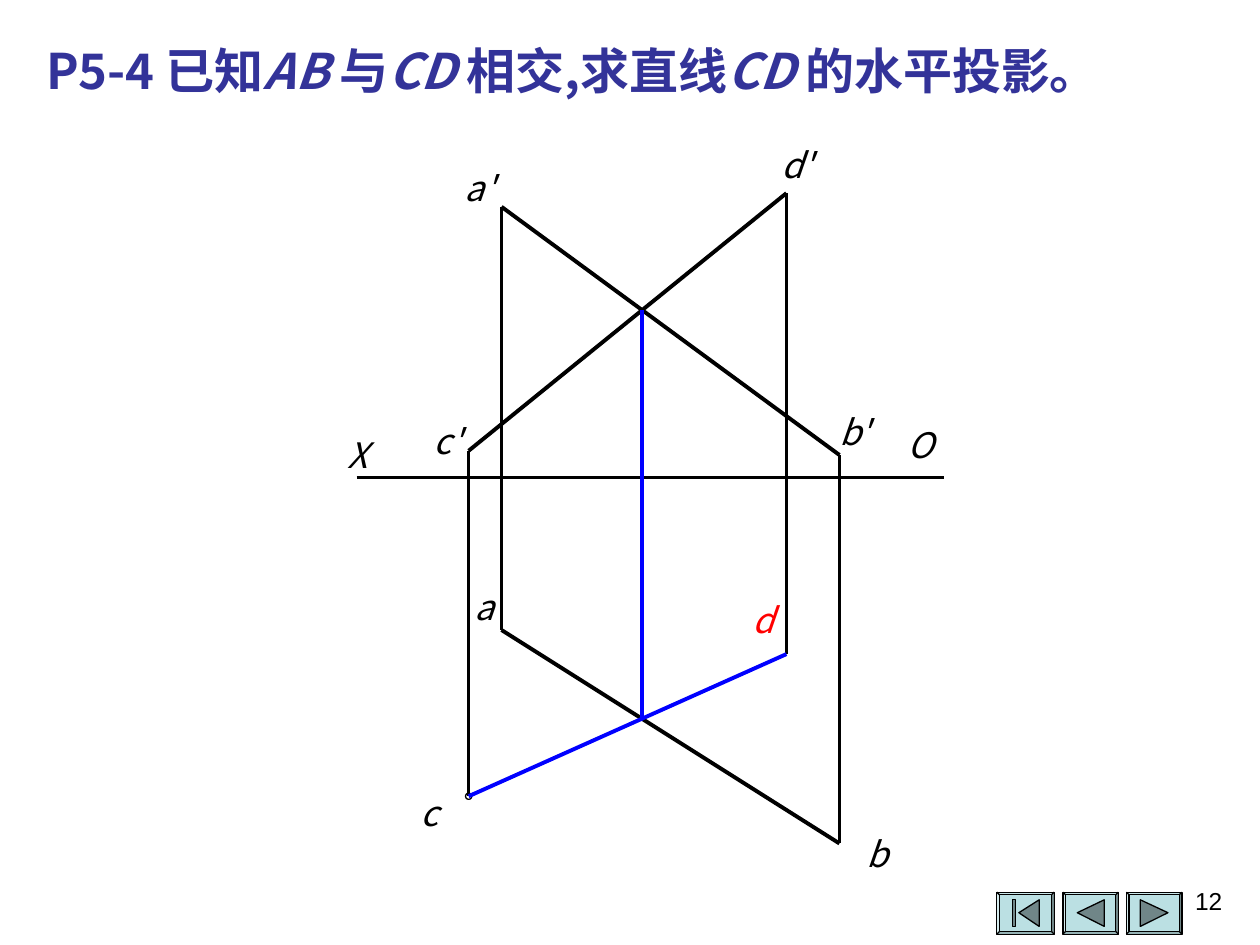
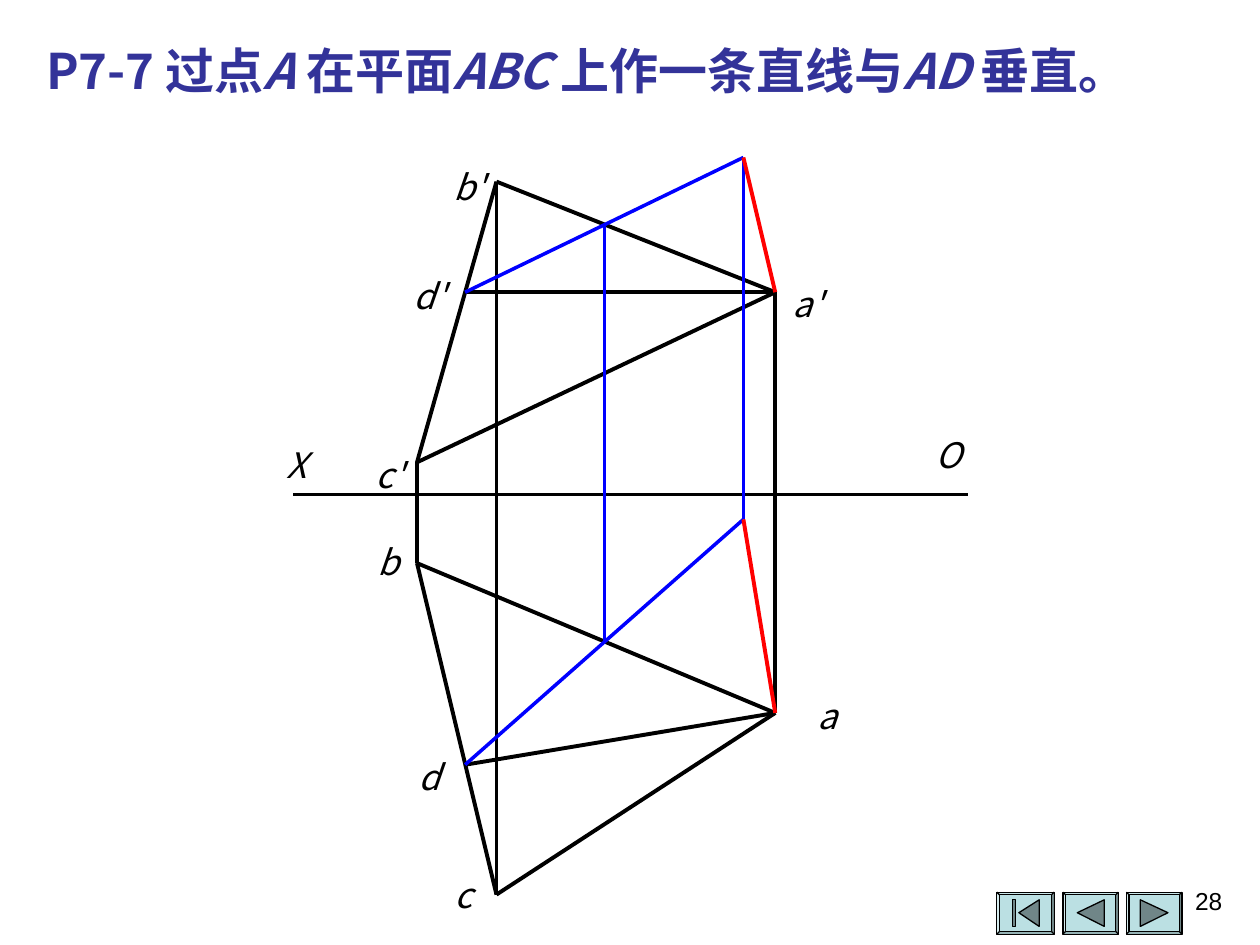
from dataclasses import dataclass

from lxml import etree
from pptx import Presentation
from pptx.dml.color import RGBColor
from pptx.enum import shapes, text
from pptx.oxml.ns import qn
from pptx.util import Pt


@dataclass(frozen=True)
class Theme:
    title: str = "333399"
    ink: str = "000000"
    construction: str = "0000FF"
    answer: str = "FF0000"
    button: str = "BBE0E3"
    icon: str = "708688"
    font: str = "Noto Sans CJK SC"
    number_font: str = "Arial"
    title_size: float = 28
    label_size: float = 20
    number_size: float = 14
    thick: float = 2.25
    button_line: float = 0.75
    hairline: float = 0


T = Theme()
TITLE_BOX = (19.4, 19.4, 686.2, 74.9)
NUMBER_BOX = (537.8, 502.6, 167.8, 37.4)
BUTTON_TOP, BUTTON_HEIGHT, BEVEL = 509.8, 24, 0.06
ICON_TOP, ICON_MIDDLE, ICON_BOTTOM = 514.2, 521.6, 529.4

# Each button: left, width, then the outlines of its icon
BUTTONS = [
    (643.7, 31.7, [[(651.6, ICON_TOP), (667.4, ICON_MIDDLE), (651.6, ICON_BOTTOM)]]),
    (607.4, 31.7, [[(615.6, ICON_MIDDLE), (631, ICON_TOP), (631, ICON_BOTTOM)]]),
    (569.6, 32.8, [[(582.2, ICON_MIDDLE), (593.8, ICON_TOP), (593.8, ICON_BOTTOM)],
                   [(578.4, ICON_TOP), (580.3, ICON_TOP),
                    (580.3, ICON_BOTTOM), (578.4, ICON_BOTTOM)]]),
]

INTERSECTION = {
    "number": "12",
    "title": [("P5-4 已知", False), ("AB ", True), ("与", False), ("CD ", True),
              ("相交,求直线", False), ("CD ", True), ("的水平投影。", False)],
    "axis": (203.8, 539.3, 272.9),
    "points": {
        "a'": (286.6, 118.2), "b'": (479.7, 260), "c'": (267.8, 257.6),
        "d'": (449.4, 110.4), "k'": (367, 177.1),
        "a": (286.6, 360), "b": (479.7, 482), "c": (267.8, 455),
        "d": (449.4, 373.8), "k": (367, 410.4)},
    "lines": [
        (T.ink, T.thick, "a'-b' a-b c'-d'"),
        (T.ink, T.hairline, "a'-a c'-c d'-d b'-b"),
        (T.construction, T.hairline, "k'-k"),
        (T.construction, T.thick, "c-d")],
    "labels": {
        "a'": (265.7, 95), "b'": (479.5, 234.7), "c'": (247.7, 239.8),
        "d'": (446.4, 82.1), "a": (271.4, 334.8), "b": (495.4, 475.9),
        "c": (240.5, 452.2), "d": (429.8, 342),
        "X": (198.7, 247.7), "O": (518.4, 241.9)},
    "align": text.PP_ALIGN.LEFT,
    "answers": {"d"},
    "marked": ["c"],
}

PERPENDICULAR = {
    "number": "28",
    "title": [("P7-7 过点", False), ("A ", True), ("在平面", False), ("ABC ", True),
              ("上作一条直线与", False), ("AD ", True), ("垂直。", False)],
    "axis": (167.6, 553, 282.5),
    "points": {
        "a'": (443, 167), "b'": (283.7, 103.8), "c'": (238.3, 264.2),
        "d'": (265.8, 167), "e'": (424.8, 90), "k'": (345.4, 128.2),
        "a": (443, 407.4), "b": (238.3, 321.8), "c": (283.7, 511.2),
        "d": (265.8, 437), "e": (424.8, 296.8), "k": (345.4, 366.5)},
    "lines": [
        (T.ink, T.thick, "a-b a'-c' c'-b' a'-b' b-c a-c a'-d' a-d"),
        (T.ink, T.hairline, "c'-b a'-a b'-c"),
        (T.construction, T.hairline, "d-e k-k' d'-e' e-e'"),
        (T.answer, T.thick, "a-e a'-e'")],
    "labels": {
        "a'": (449.3, 161.3), "b'": (255.6, 94.3), "c'": (210.2, 259.2),
        "d'": (233.3, 157), "a": (466.6, 396.7), "b": (216, 308.9),
        "c": (258.5, 499), "d": (239, 432),
        "X": (163.4, 253.4), "O": (529.9, 247.7)},
    "align": text.PP_ALIGN.CENTER,
    "answers": set(),
    "marked": [],
}


def rgb(value):
    return RGBColor.from_string(value)


def add_text(slide, box, runs, align=text.PP_ALIGN.LEFT, inset=(0, 0), **style):
    """Add one paragraph of (words, italic) runs sharing a style."""
    tf = slide.shapes.add_textbox(*map(Pt, box)).text_frame
    across, down = map(Pt, inset)
    frame = {"word_wrap": True, "margin_left": across, "margin_right": across,
             "margin_top": down, "margin_bottom": down}
    for name, value in frame.items():
        setattr(tf, name, value)
    p = tf.paragraphs[0]
    p.alignment = align
    color = style.pop("color", T.ink)
    for words, italic in runs:
        r = p.add_run()
        r.text = words
        for name, value in {**style, "italic": italic}.items():
            setattr(r.font, name, value)
        r.font.color.rgb = rgb(color)
        etree.SubElement(r.font._element, qn("a:ea")).set("typeface", style["name"])


def add_line(slide, start, end, color=T.ink, width=T.hairline):
    line = slide.shapes.add_connector(
        shapes.MSO_CONNECTOR.STRAIGHT, *map(Pt, (*start, *end)))
    line.line.color.rgb = rgb(color)
    line.line.width = Pt(width)
    etree.SubElement(line._element.spPr, qn("a:effectLst"))


def paint(sp, fill, width):
    sp.shadow.inherit = False
    if fill:
        sp.fill.solid()
        sp.fill.fore_color.rgb = rgb(fill)
    else:
        sp.fill.background()
    sp.line.color.rgb = rgb(T.ink)
    sp.line.width = Pt(width)


def add_button(slide, left, width, icon):
    sp = slide.shapes.add_shape(
        shapes.MSO_SHAPE.BEVEL,
        *map(Pt, (left, BUTTON_TOP, width, BUTTON_HEIGHT)))
    sp.adjustments[0] = BEVEL
    paint(sp, T.button, T.button_line)
    for outline in icon:
        first, *rest = [(Pt(x), Pt(y)) for x, y in outline]
        builder = slide.shapes.build_freeform(*first)
        builder.add_line_segments(rest, close=True)
        paint(builder.convert_to_shape(), T.icon, T.button_line)


def add_point_mark(slide, center, size=3.6):
    x, y = center
    sp = slide.shapes.add_shape(
        shapes.MSO_SHAPE.OVAL,
        *map(Pt, (x - size / 2, y - size / 2, size, size)))
    paint(sp, None, T.hairline)


def add_label(slide, name, place, align, color):
    width = 24.5 if len(name) > 1 or name == "O" else 12.2
    add_text(slide, (*place, width, 23.8), [(name, True)], align,
             name=T.font, size=Pt(T.label_size), color=color)


def add_projection(slide, drawing):
    """Draw the axis, the lines between named points, and the labels."""
    points = drawing["points"]
    left, right, y = drawing["axis"]
    add_line(slide, (left, y), (right, y))
    for name in drawing["marked"]:
        add_point_mark(slide, points[name])
    for color, width, pairs in drawing["lines"]:
        for pair in pairs.split():
            start, end = pair.split("-")
            add_line(slide, points[start], points[end], color, width)
    for name, place in drawing["labels"].items():
        color = T.answer if name in drawing["answers"] else T.ink
        add_label(slide, name, place, drawing["align"], color)


def add_exercise(prs, drawing):
    slide = prs.slides.add_slide(prs.slide_layouts[6])
    for button in BUTTONS:
        add_button(slide, *button)
    add_text(slide, TITLE_BOX, drawing["title"], inset=(7.2, 3.6), name=T.font,
             size=Pt(T.title_size), bold=True, color=T.title)
    add_projection(slide, drawing)
    add_text(slide, NUMBER_BOX, [(drawing["number"], False)],
             text.PP_ALIGN.RIGHT, inset=(7.2, 3.6),
             name=T.number_font, size=Pt(T.number_size))


def main():
    prs = Presentation()
    prs.slide_width, prs.slide_height = Pt(720), Pt(540)
    for drawing in (INTERSECTION, PERPENDICULAR):
        add_exercise(prs, drawing)
    prs.save("out.pptx")


if __name__ == "__main__":
    main()
